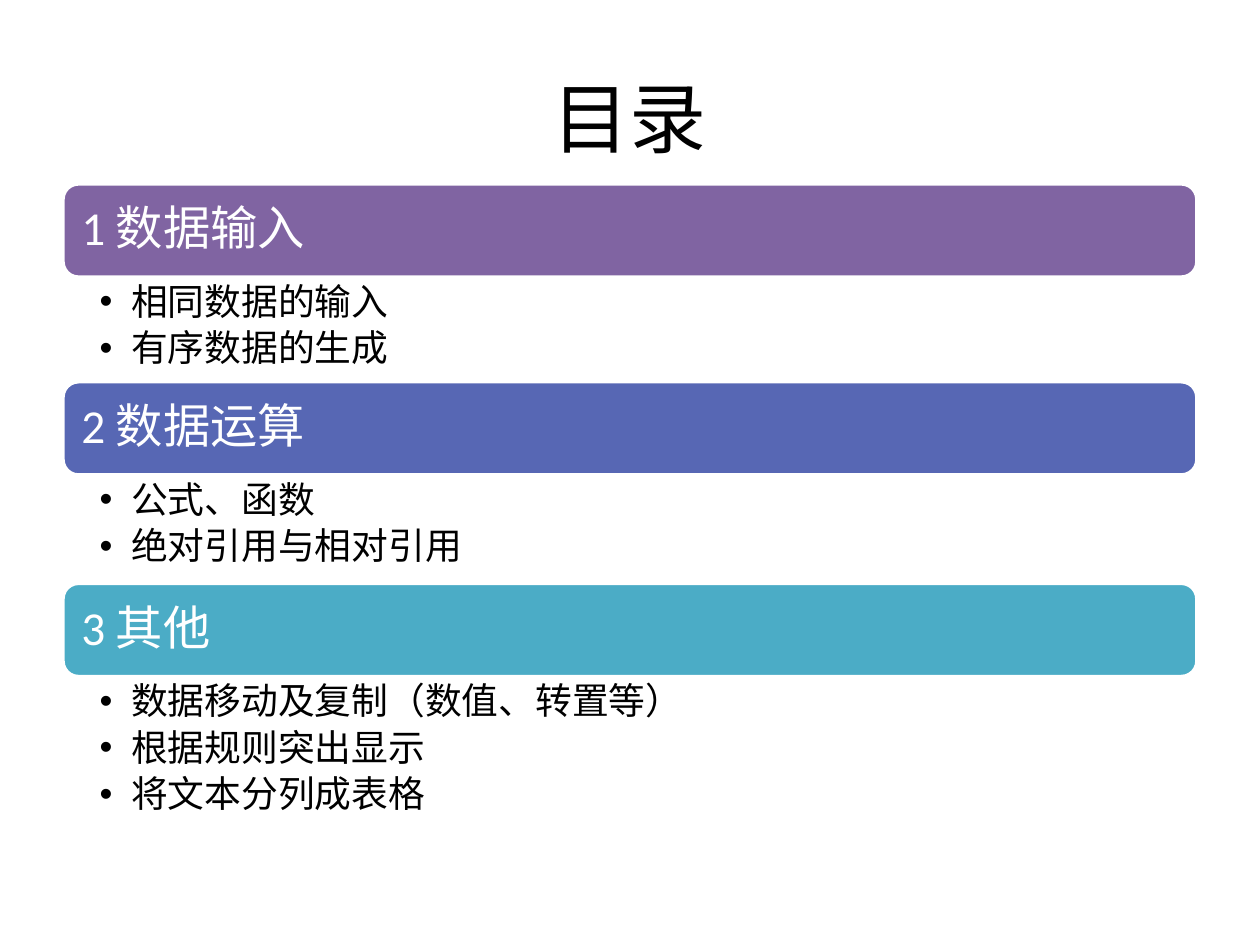
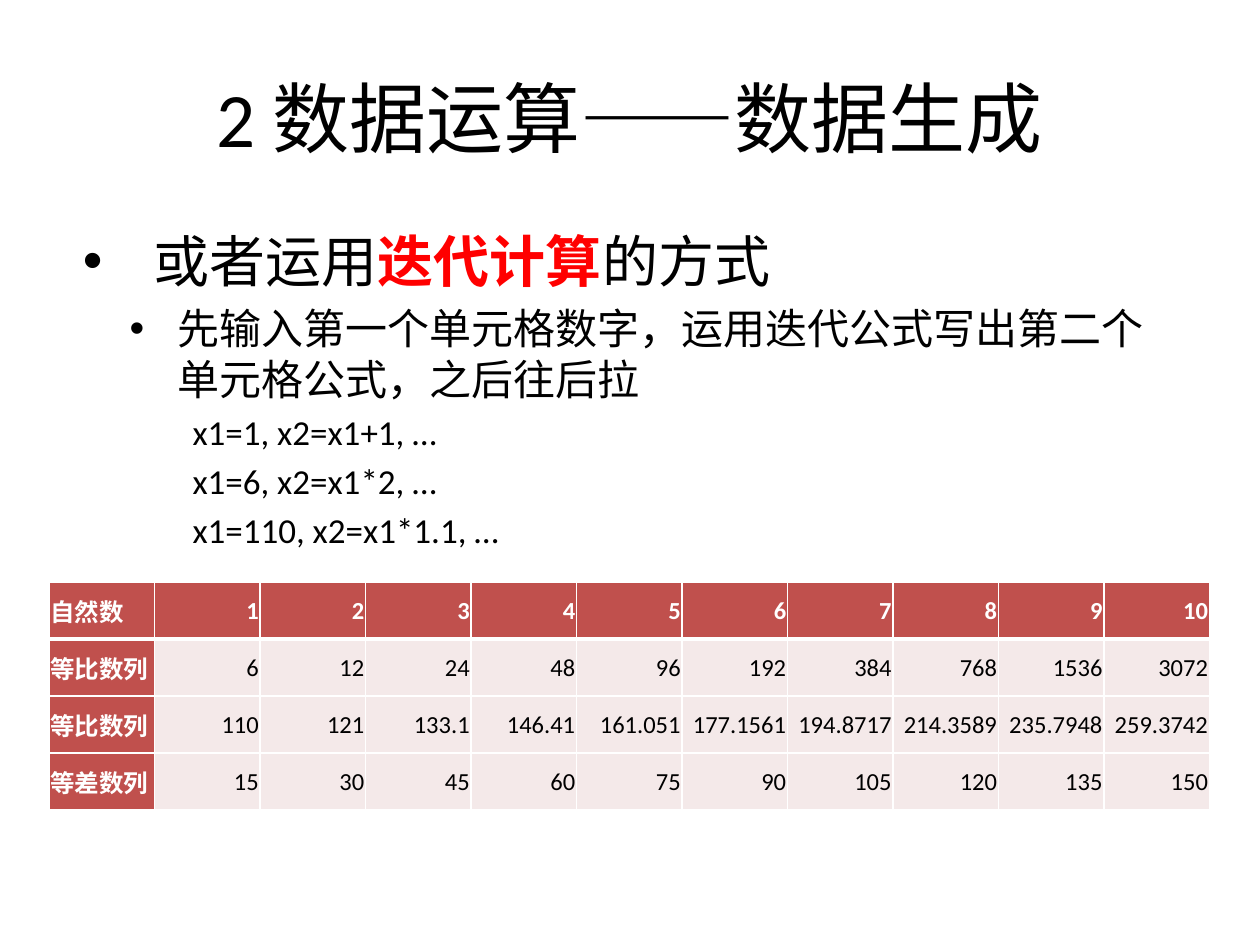
from lxml import etree
from pptx import Presentation
from pptx.dml.color import RGBColor
from pptx.enum import shapes, text
from pptx.oxml import ns
from pptx.util import Inches, Pt

BLACK = RGBColor(0x00, 0x00, 0x00)
WHITE = RGBColor(0xFF, 0xFF, 0xFF)
RED = RGBColor(0xFF, 0x00, 0x00)
PURPLE = RGBColor(0x80, 0x64, 0xA2)
INDIGO = RGBColor(0x57, 0x67, 0xB4)
TEAL = RGBColor(0x4B, 0xAC, 0xC6)
BRICK = RGBColor(0xC0, 0x50, 0x4D)
BLUSH = RGBColor(0xF4, 0xE9, 0xE9)
FONT = "Calibri"
LEFT, CENTER, RIGHT = text.PP_ALIGN.LEFT, text.PP_ALIGN.CENTER, text.PP_ALIGN.RIGHT
MIDDLE = text.MSO_ANCHOR.MIDDLE


def write(frame, words, size, colour=BLACK, bold=False, align=LEFT, indent=0, hang=0,
          bullet=False, before=0, after=0, spacing=1.0, joined=False):
    para = frame.paragraphs[-1]
    if not joined:
        if para.runs:
            para = frame.add_paragraph()
        properties = para._p.get_or_add_pPr()
        properties.set("marL", str(Inches(indent)))
        properties.set("indent", str(Inches(-hang)))
        if bullet:
            etree.SubElement(properties, ns.qn("a:buFont"), typeface="Arial")
            etree.SubElement(properties, ns.qn("a:buChar"), char="•")
        para.alignment = align
        para.space_before, para.space_after = Pt(before), Pt(after)
        para.line_spacing = spacing
    span = para.add_run()
    span.text = words
    span.font.name, span.font.size, span.font.bold = FONT, Pt(size), bold
    span.font.color.rgb = colour


def add_frame(page, left, top, width, height):
    box = page.shapes.add_textbox(Inches(left), Inches(top), Inches(width), Inches(height))
    box.text_frame.word_wrap = True
    return box.text_frame


deck = Presentation()
deck.slide_width, deck.slide_height = Inches(10), Inches(7.5)

pages = []
for title in ["目录", "2 数据运算——数据生成"]:
    page = deck.slides.add_slide(deck.slide_layouts[6])
    frame = add_frame(page, 0.5, 0.3, 9, 1.25)
    frame.vertical_anchor = MIDDLE
    write(frame, title, 44, align=CENTER)
    pages.append(page)
contents, iteration = pages

chapters = [
    (1.46, "1 数据输入", PURPLE, ["相同数据的输入", "有序数据的生成"]),
    (3.03, "2 数据运算", INDIGO, ["公式、函数", "绝对引用与相对引用"]),
    (4.63, "3 其他", TEAL, ["数据移动及复制（数值、转置等）", "根据规则突出显示", "将文本分列成表格"]),
]
for top, heading, colour, topics in chapters:
    band = contents.shapes.add_shape(shapes.MSO_SHAPE.ROUNDED_RECTANGLE,
                                     Inches(0.5), Inches(top), Inches(9), Inches(0.74))
    band.shadow.inherit = False
    band.fill.solid()
    band.fill.fore_color.rgb = colour
    band.line.color.rgb = WHITE
    band.line.width = Pt(2)
    frame = band.text_frame
    frame.margin_left = frame.margin_right = Inches(0.11)
    frame.vertical_anchor = MIDDLE
    write(frame, heading, 27, WHITE, spacing=0.9)

    frame = add_frame(contents, 0.5, top + 0.75, 9, 0.42 * len(topics))
    frame.margin_left, frame.margin_right = Inches(0.29), Inches(0.21)
    frame.margin_top = frame.margin_bottom = Inches(0.04)
    for topic in topics:
        write(frame, topic, 21, indent=0.25, hang=0.25, bullet=True, after=4, spacing=0.9)

frame = add_frame(iteration, 0.5, 1.75, 9, 4.95)
write(frame, "或者运用", 32, indent=0.62, hang=0.56, bullet=True)
write(frame, "迭代计算", 32, RED, bold=True, joined=True)
write(frame, "的方式", 32, joined=True)
write(frame, "先输入第一个单元格数字，运用迭代公式写出第二个单元格公式，之后往后拉", 24,
      indent=0.81, hang=0.38, bullet=True, before=5)
for formula in ["x1=1, x2=x1+1, …", "x1=6, x2=x1*2, …", "x1=110, x2=x1*1.1, …"]:
    write(frame, formula, 20, indent=1.31, hang=0.38, before=4)

steps = range(10)
sequences = [
    ("自然数", [n + 1 for n in steps]),
    ("等比数列", [6 * 2 ** n for n in steps]),
    ("等比数列", [110 * 1.1 ** n for n in steps]),
    ("等差数列", [15 * (n + 1) for n in steps]),
]
table = iteration.shapes.add_table(len(sequences), len(steps) + 1, Inches(0.39), Inches(4.62),
                                   Inches(9.21), Inches(1.81)).table
for column in table.columns:
    column.width = Inches(9.21 / 11)
for row_index, (name, values) in enumerate(sequences):
    labels = [name] + [f"{value:.7g}" for value in values]
    for column_index, label in enumerate(labels):
        cell = table.cell(row_index, column_index)
        is_header = row_index == 0 or column_index == 0
        cell.margin_left = cell.margin_right = cell.margin_top = Inches(0.01)
        cell.margin_bottom = 0
        cell.vertical_anchor = MIDDLE
        widths = {"lnL": 1, "lnR": 1, "lnT": 3 if row_index == 1 else 1,
                  "lnB": 3 if row_index == 0 else 1}
        for edge, width in widths.items():
            line = etree.SubElement(cell._tc.get_or_add_tcPr(), ns.qn(f"a:{edge}"), w=str(Pt(width)))
            fill = etree.SubElement(line, ns.qn("a:solidFill"))
            etree.SubElement(fill, ns.qn("a:srgbClr"), val=str(WHITE))
        cell.fill.solid()
        cell.fill.fore_color.rgb = BRICK if is_header else BLUSH
        write(cell.text_frame, label, 14, WHITE if is_header else BLACK, bold=is_header,
              align=RIGHT if column_index else LEFT)

deck.save("out.pptx")
